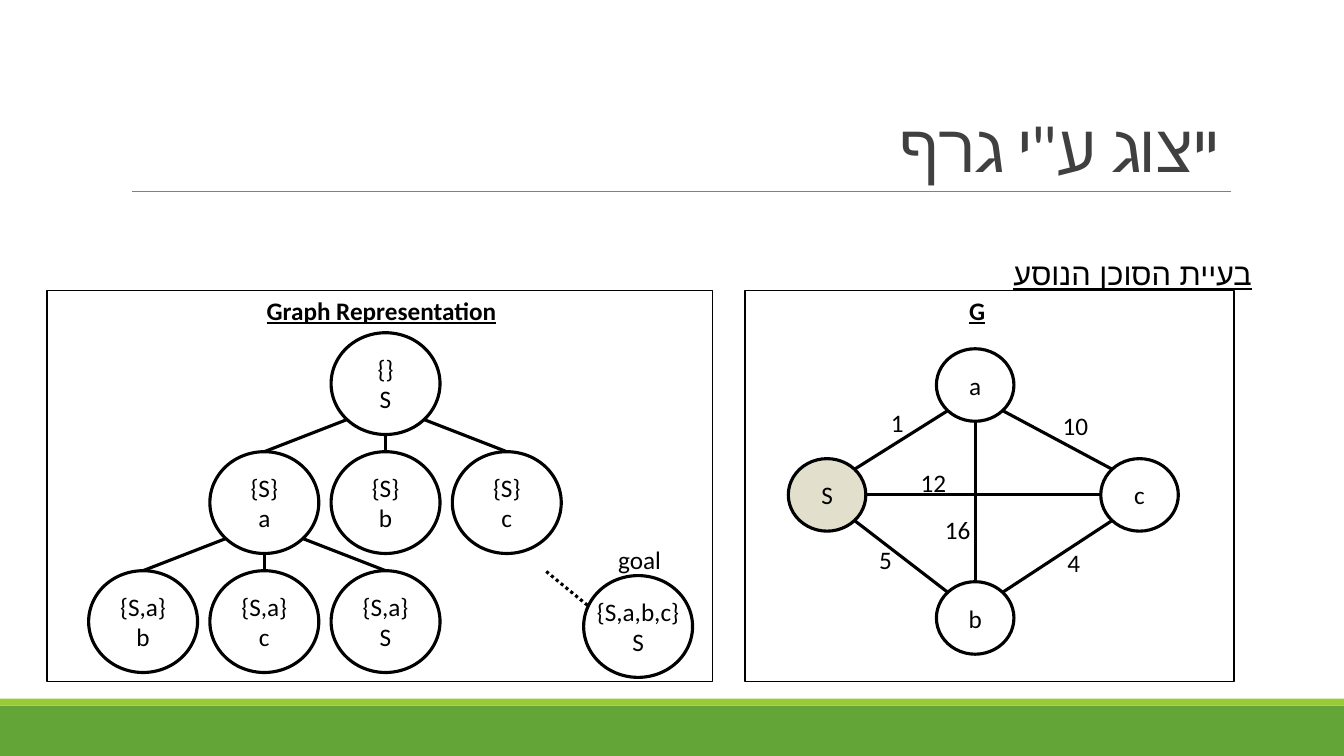
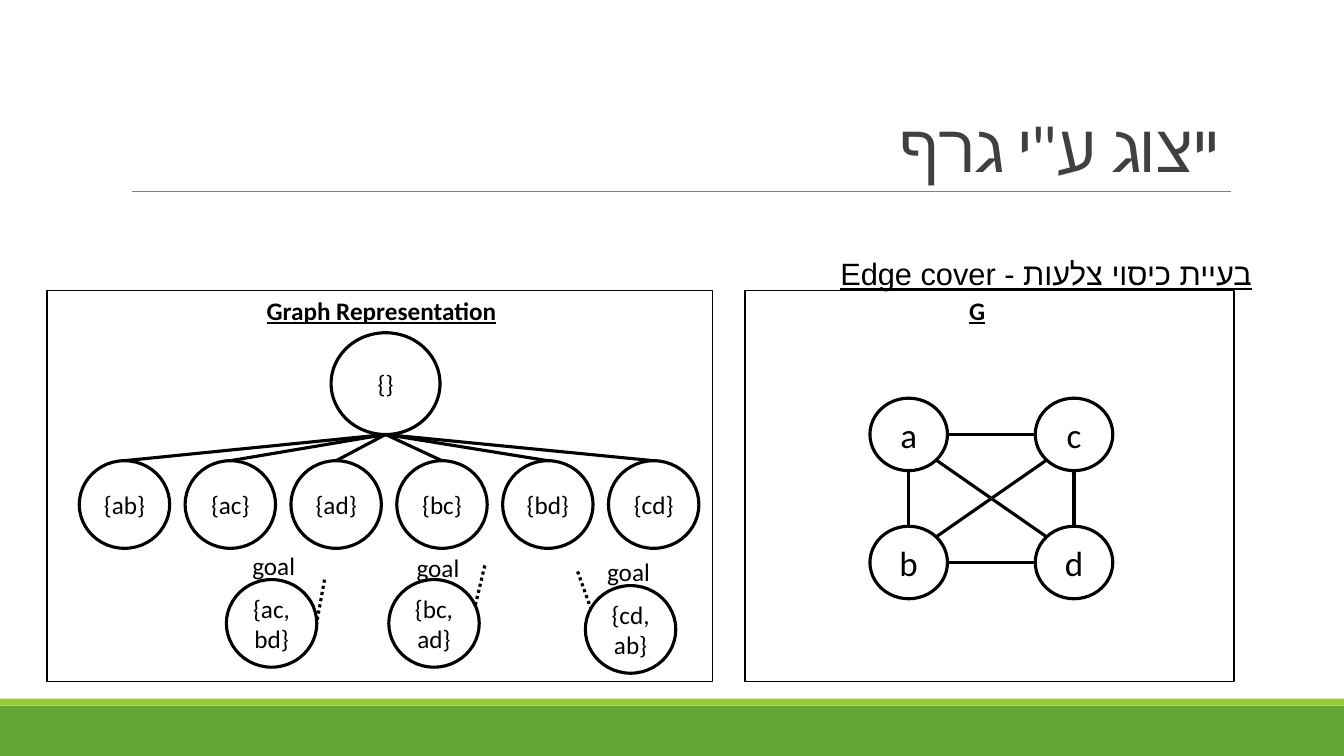
"""Build two slides that show search problems as graphs."""
from typing import NamedTuple

from lxml import etree
from pptx import Presentation
from pptx.dml.color import RGBColor
from pptx.enum.dml import MSO_LINE
from pptx.enum.shapes import MSO_CONNECTOR, MSO_SHAPE
from pptx.enum.text import MSO_ANCHOR, MSO_AUTO_SIZE, PP_ALIGN
from pptx.oxml.ns import qn
from pptx.util import Pt

BLACK = RGBColor(0x00, 0x00, 0x00)
WHITE = RGBColor(0xFF, 0xFF, 0xFF)
SAND = RGBColor(0xE2, 0xDF, 0xCC)
GREEN = RGBColor(0x63, 0xA5, 0x37)
LIME = RGBColor(0x99, 0xCB, 0x38)
GREY = RGBColor(0x80, 0x80, 0x80)
DARK = RGBColor(0x40, 0x40, 0x40)

RECT, OVAL = MSO_SHAPE.RECTANGLE, MSO_SHAPE.OVAL
STRAIGHT, DOTTED = MSO_CONNECTOR.STRAIGHT, MSO_LINE.ROUND_DOT
CENTER, RIGHT = PP_ALIGN.CENTER, PP_ALIGN.RIGHT
TOP, MIDDLE, BOTTOM = MSO_ANCHOR.TOP, MSO_ANCHOR.MIDDLE, MSO_ANCHOR.BOTTOM
NO_FIT = MSO_AUTO_SIZE.NONE

WIDE, HIGH = 960, 540
STROKE = 2.25
DIAG = 0.5 ** 0.5
SIDES = {
    "N": (0, -1), "S": (0, 1), "W": (-1, 0), "E": (1, 0),
    "NW": (-DIAG, -DIAG), "NE": (DIAG, -DIAG),
    "SW": (-DIAG, DIAG), "SE": (DIAG, DIAG),
}
STATE = (77.8, 72.7)
POINT = (55.4, 51.8)
COVER = (64.6, 62.6)


class Node(NamedTuple):
    """Circle given by its centre."""
    text: str
    x: float
    y: float
    size: tuple = POINT
    font: float = 18
    fill: RGBColor = WHITE
    wrap: bool = True

    def side(self, name: str) -> tuple:
        """Return the point of the rim on the named side."""
        across, down = SIDES[name]
        return self.x + across * self.size[0] / 2, self.y + down * self.size[1] / 2


class Edge(NamedTuple):
    """Line between two points."""
    start: tuple
    end: tuple
    dotted: bool = False


class Label(NamedTuple):
    """Text centred on x, with its box starting at y."""
    text: str
    x: float
    y: float
    width: float = 60
    bold: bool = False


class Page(NamedTuple):
    """Content of one slide."""
    topic: str
    nodes: list
    edges: list
    labels: list


HEADS = [Label("Graph Representation", 272.5, 207.4, 200, True),
         Label("G", 698, 207.4, 60, True)]


def write(frame, text: str, *, size: float = 18, font: str = "Calibri",
          color: RGBColor = BLACK, bold: bool = False, under: bool = False,
          align=CENTER, anchor=TOP, wrap: bool = True, space: float = 1,
          track: int = 0, rtl: bool = False) -> None:
    """Fill a text frame and format it."""
    frame.text = text
    frame.word_wrap = wrap
    frame.auto_size = NO_FIT
    frame.vertical_anchor = anchor
    for para in frame.paragraphs:
        para.alignment = align
        para.line_spacing = space
        if rtl:
            para._p.get_or_add_pPr().set("rtl", "1")
        for run in para.runs:
            style = run.font
            style.size, style.name = Pt(size), font
            style.bold, style.underline = bold, under
            style.color.rgb = color
            props = run._r.get_or_add_rPr()
            etree.SubElement(props, qn("a:cs")).set("typeface", font)
            if track:
                props.set("spc", str(track))


def block(shapes, kind, box: tuple, fill=None, line=None, width: float = STROKE):
    """Draw a preset shape without shadow."""
    shape = shapes.add_shape(kind, *map(Pt, box))
    shape.shadow.inherit = False
    if fill is None:
        shape.fill.background()
    else:
        shape.fill.solid()
        shape.fill.fore_color.rgb = fill
    if line is None:
        shape.line.fill.background()
    else:
        shape.line.color.rgb = line
        shape.line.width = Pt(width)
    return shape


def link(shapes, edge: Edge, color: RGBColor = BLACK, width: float = STROKE):
    """Draw a straight line without shadow."""
    line = shapes.add_connector(STRAIGHT, *map(Pt, edge.start + edge.end))
    line.line.color.rgb = color
    line.line.width = Pt(width)
    if edge.dotted:
        line.line.dash_style = DOTTED
    etree.SubElement(line.element.spPr, qn("a:effectLst"))
    return line


def circle(shapes, node: Node) -> None:
    """Draw a node with its text."""
    wide, high = node.size
    box = (node.x - wide / 2, node.y - high / 2, wide, high)
    shape = block(shapes, OVAL, box, node.fill, BLACK)
    write(shape.text_frame, node.text, size=node.font, anchor=MIDDLE, wrap=node.wrap)


def tag(shapes, label: Label) -> None:
    """Draw a label."""
    box = shapes.add_textbox(Pt(label.x - label.width / 2), Pt(label.y),
                             Pt(label.width), Pt(28.8))
    write(box.text_frame, label.text, bold=label.bold, under=label.bold)


def join(first: Node, out: str, last: Node, into: str) -> Edge:
    """Return the edge between sides of two nodes."""
    return Edge(first.side(out), last.side(into))


def dress(layout, shapes) -> None:
    """Move the shared bands, rule and title place to the layout."""
    parts = [block(shapes, RECT, (0, 504, WIDE, 36), GREEN),
             block(shapes, RECT, (0, 499, WIDE, 5), LIME),
             link(shapes, Edge((94.3, 136.8), (879.1, 136.8)), GREY, 0.5)]
    for part in parts:
        layout.shapes.element.append(part.element)
    title = layout.placeholders[0]
    title.left, title.top, title.width, title.height = map(Pt, (86.4, 22.3, 792, 114.5))


def fill_page(slide, page: Page) -> None:
    """Draw the title, panels and graphs of a slide."""
    shapes = slide.shapes
    write(shapes.title.text_frame, "ייצוג ע\"י גרף", size=48, color=DARK,
          align=RIGHT, anchor=BOTTOM, space=0.85, track=-50, rtl=True)
    topic = shapes.add_textbox(Pt(19.4), Pt(178.5), Pt(882), Pt(36))
    write(topic.text_frame, page.topic, size=22, font="Arial", under=True,
          align=RIGHT, rtl=True)
    for left, width in ((532.1, 349.2), (33.8, 475.2)):
        block(shapes, RECT, (left, 207.4, width, 279.4), line=BLACK, width=1.25)
    for edge in page.edges:
        link(shapes, edge)
    for node in page.nodes:
        circle(shapes, node)
    for label in HEADS + page.labels:
        tag(shapes, label)


def tour() -> Page:
    """Return the page on the travelling salesman."""
    def state(text: str, col: int, row: int) -> Node:
        """Return a tree node on the grid."""
        return Node(text, 102.2 + 86.6 * col, 274 + 85 * row, STATE)

    root = state("{}\nS", 2, 0)
    kids = [state(f"{{S}}\n{name}", col, 1) for col, name in enumerate("abc", 1)]
    leaves = [state(f"{{S,a}}\n{name}", col, 2) for col, name in enumerate("bcS")]
    goal = Node("{S,a,b,c}\nS", 455.8, 447.5, STATE, wrap=False)
    start = Node("S", 590.8, 353.5, fill=SAND)
    a, b = Node("a", 696.6, 275), Node("b", 696.6, 441.4)
    c = Node("c", 814, 353.5)
    edges = [join(top, side, kid, "N")
             for top, row in ((root, kids), (kids[0], leaves))
             for side, kid in zip(("SW", "S", "SE"), row)]
    edges += [join(start, "NE", a, "SW"), join(start, "E", c, "W"),
              join(a, "SE", c, "NW"), join(a, "S", b, "N"),
              join(c, "SW", b, "NE"), join(b, "NW", start, "SE"),
              Edge((390.2, 408.2), (421.9, 434.2), True)]
    labels = [Label("goal", 456.8, 385.2), Label("1", 640.8, 287.3),
              Label("10", 768.2, 289.4), Label("16", 684, 363.6),
              Label("5", 632.5, 385.2), Label("12", 666.7, 330.5),
              Label("4", 767, 387.4)]
    return Page("בעיית הסוכן הנוסע",
                [root, *kids, *leaves, goal, start, a, b, c], edges, labels)


def cover() -> Page:
    """Return the page on edge cover."""
    root = Node("{}", 275.4, 274, STATE)
    pairs = [Node(f"{{{pair}}}", 88.9 + 75.6 * col, 360.4, COVER)
             for col, pair in enumerate(("ab", "ac", "ad", "bc", "bd", "cd"))]
    goals = [Node("{ac,bd}", 194, 445.3, COVER), Node("{bc,ad}", 310, 445.3, COVER),
             Node("{cd,ab}", 450.4, 449.6, COVER)]
    a, b, c, d = [Node(name, x, y, font=25) for name, x, y in
                  zip("abcd", (649.1, 649.1, 767.2, 767.2), (310.3, 401.8) * 2)]
    edges = [join(root, "S", pair, "N") for pair in pairs]
    edges += [join(a, "E", c, "W"), join(b, "E", d, "W"), join(a, "S", b, "N"),
              join(c, "S", d, "N"), join(a, "SE", d, "NW"), join(c, "SW", b, "NE"),
              Edge((231.8, 414), (226.1, 445.7), True),
              Edge((346.3, 403.9), (339.1, 434.2), True),
              Edge((412.6, 408.2), (421.9, 434.2), True)]
    labels = [Label("goal", x, y) for x, y in
              ((195.5, 389.5), (312.8, 391), (448.9, 393.8))]
    return Page("בעיית כיסוי צלעות - Edge cover",
                [root, *pairs, *goals, a, b, c, d], edges, labels)


def main() -> None:
    """Build and save the slides."""
    deck = Presentation()
    deck.slide_width, deck.slide_height = Pt(WIDE), Pt(HIGH)
    layout = deck.slide_layouts[5]
    slides = [(deck.slides.add_slide(layout), page) for page in (tour(), cover())]
    dress(layout, slides[0][0].shapes)
    for slide, page in slides:
        fill_page(slide, page)
    deck.save("out.pptx")


if __name__ == "__main__":
    main()
